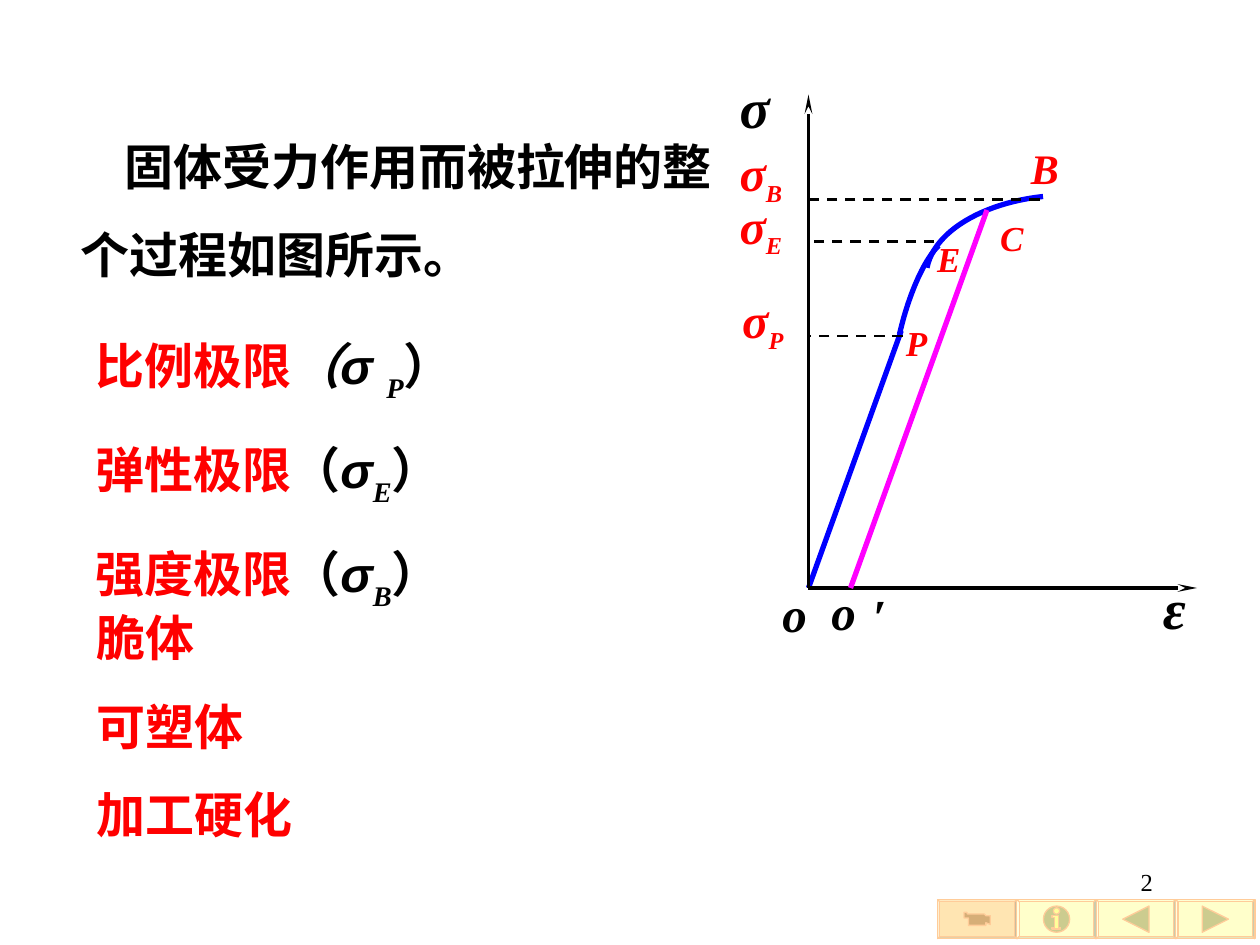
from pptx import Presentation
from pptx.dml.color import RGBColor
from pptx.enum.dml import MSO_LINE
from pptx.enum.shapes import MSO_CONNECTOR, MSO_SHAPE as Shape
from pptx.enum.text import MSO_ANCHOR, MSO_AUTO_SIZE, PP_ALIGN
from pptx.oxml.ns import qn
from pptx.util import Pt
from lxml.etree import SubElement

BLACK = RGBColor(0x00, 0x00, 0x00)
RED = RGBColor(0xFF, 0x00, 0x00)
BLUE = RGBColor(0x00, 0x00, 0xFF)
MAGENTA = RGBColor(0xFF, 0x00, 0xFF)
BUTTON_YELLOW = RGBColor(0xFF, 0xFF, 0x99)
BUTTON_ORANGE = RGBColor(0xFF, 0xCC, 0x66)
BUTTON_EDGE = RGBColor(0xFF, 0xCC, 0x99)
ICON_GREEN = RGBColor(0xCC, 0xCC, 0x8F)
ICON_BROWN = RGBColor(0xD6, 0xAE, 0x77)
SERIF, SANS = "Times New Roman", "Arial"

ORIGIN = (462, 336)
BUTTON_LEFT, BUTTON_TOP = 535.7, 514
BUTTON_WIDTH, BUTTON_HEIGHT = 45.36, 22.5


def add_run(paragraph, text, size=28, color=BLACK, bold=True, italic=False,
            name=SERIF, baseline=0):
    run = paragraph.add_run()
    run.text = text
    font = run.font
    font.size, font.name, font.bold, font.italic = Pt(size), name, bold, italic
    font.color.rgb = color
    if baseline:
        run._r.get_or_add_rPr().set("baseline", str(baseline * 1000))


def place_text(placeholder, left, top, width, height, lines, first_indent=0):
    """Fill a placeholder with unbulleted lines, each a list of (text, format)."""
    placeholder.left, placeholder.top = Pt(left), Pt(top)
    placeholder.width, placeholder.height = Pt(width), Pt(height)
    frame = placeholder.text_frame
    frame.word_wrap = True
    frame.auto_size = MSO_AUTO_SIZE.NONE
    frame.vertical_anchor = MSO_ANCHOR.TOP
    for index, pieces in enumerate(lines):
        paragraph = frame.paragraphs[0] if index == 0 else frame.add_paragraph()
        properties = paragraph._p.get_or_add_pPr()
        properties.set("marL", "0")
        properties.set("indent", str(Pt(0 if index else first_indent)))
        SubElement(properties, qn("a:buNone"))
        paragraph.alignment = PP_ALIGN.LEFT
        paragraph.line_spacing = 1.5
        paragraph.space_before = Pt(0)
        for text, options in pieces:
            add_run(paragraph, text, **options)


def add_label(slide, left, top, width, height, text, subscript="", **options):
    box = slide.shapes.add_textbox(Pt(left), Pt(top), Pt(width), Pt(height))
    box.text_frame.word_wrap = False
    paragraph = box.text_frame.paragraphs[0]
    add_run(paragraph, text, **options)
    if subscript:
        add_run(paragraph, subscript, **{**options, "size": 24, "baseline": -25})
    return paragraph


def add_line(slide, start, end, color, width, dashed=False, arrow=False):
    line = slide.shapes.add_connector(
        MSO_CONNECTOR.STRAIGHT, *(Pt(value) for value in (*start, *end)))
    line.line.color.rgb = color
    line.line.width = Pt(width)
    if dashed:
        line.line.dash_style = MSO_LINE.DASH
    if arrow:
        SubElement(line.line._get_or_add_ln(), qn("a:tailEnd"),
                   type="stealth", w="sm", len="lg")
    SubElement(line._element.spPr, qn("a:effectLst"))


def add_outline(slide, points, closed):
    """Draw a freeform through points, scaled to hundredths of a point."""
    scaled = [(round(x * 100), round(y * 100)) for x, y in points]
    builder = slide.shapes.build_freeform(*scaled[0], scale=Pt(1) / 100)
    builder.add_line_segments(scaled[1:], close=closed)
    shape = builder.convert_to_shape()
    shape.shadow.inherit = False
    return shape


def add_curve(slide, controls, steps=24):
    """Draw a cubic Bezier curve as a fine open polyline."""
    points = []
    for step in range(steps + 1):
        t = step / steps
        weights = ((1 - t) ** 3, 3 * t * (1 - t) ** 2, 3 * t * t * (1 - t), t ** 3)
        points.append([sum(weight * control[axis] for weight, control
                           in zip(weights, controls)) for axis in (0, 1)])
    curve = add_outline(slide, points, closed=False)
    curve.fill.background()
    curve.line.color.rgb = BLUE
    curve.line.width = Pt(3)


def paint(shape, color, alpha=100):
    shape.shadow.inherit = False
    shape.fill.solid()
    shape.fill.fore_color.rgb = color
    if alpha < 100:
        solid = shape._element.spPr.find(qn("a:solidFill"))
        SubElement(solid[0], qn("a:alpha"), val=str(alpha * 1000))
    shape.line.color.rgb = BUTTON_EDGE
    shape.line.width = Pt(0.75)


def add_preset(slide, kind, left, top, width, height):
    return slide.shapes.add_shape(kind, Pt(left), Pt(top), Pt(width), Pt(height))


def add_buttons(slide):
    # Bevelled frames
    centers = []
    for index in range(4):
        left = BUTTON_LEFT + index * BUTTON_WIDTH
        button = add_preset(slide, Shape.BEVEL, left, BUTTON_TOP,
                            BUTTON_WIDTH, BUTTON_HEIGHT)
        button.adjustments[0] = 0.06
        paint(button, BUTTON_YELLOW if index else BUTTON_ORANGE, 50)
        centers.append(left + BUTTON_WIDTH / 2)
    middle = BUTTON_TOP + BUTTON_HEIGHT / 2
    camera, info, back, forward = centers

    # Film camera
    outline = [(-7.5, -4), (-6, -4), (-5.5, -3), (4, -3), (5, -2), (7.5, -2),
               (7.5, 3), (5, 2), (5, 3.5), (-5, 3.5), (-5, -0.7), (-7.5, -0.7)]
    paint(add_outline(slide, [(camera + x, middle + y) for x, y in outline], True),
          ICON_BROWN)

    # Information sign
    paint(add_preset(slide, Shape.OVAL, info - 7.5, middle - 7.5, 15, 15), ICON_GREEN)
    paint(add_preset(slide, Shape.OVAL, info - 1.8, middle - 6.5, 3.6, 3.6),
          BUTTON_YELLOW)
    stem = [(-2.5, -2), (1.2, -2), (1.2, 4.7), (2.5, 4.7), (2.5, 5.7),
            (-2.5, 5.7), (-2.5, 4.7), (-1.2, 4.7), (-1.2, -1), (-2.5, -1)]
    paint(add_outline(slide, [(info + x, middle + y) for x, y in stem], True),
          BUTTON_YELLOW)

    # Back and forward triangles
    for center, side in ((back, -1), (forward, 1)):
        triangle = [(center - side * 7.5, middle - 7.5), (center + side * 7.5, middle),
                    (center - side * 7.5, middle + 7.5)]
        paint(add_outline(slide, triangle, True), ICON_GREEN)


def add_diagram(slide):
    # Elastic part, unloading line and axes
    add_line(slide, (515, 189), ORIGIN, BLUE, 3)
    add_curve(slide, [(596, 112.3), (562, 116), (534, 132), (529.7, 153)])
    add_curve(slide, [(536.4, 140.4), (529, 147.5), (520, 165.5), (514, 191)])
    add_line(slide, ORIGIN, (684, 336), BLACK, 2.25, arrow=True)
    add_line(slide, ORIGIN, (462, 54), BLACK, 2.25, arrow=True)
    add_line(slide, (564, 120), (486, 336), MAGENTA, 3)

    # Dashed levels with their stress labels
    for right, level, left, top, name in ((594, 114, 415.5, 78, "B"),
                                          (534, 138, 415.5, 108, "E"),
                                          (516, 192, 417, 162, "P")):
        add_line(slide, (right, level), (ORIGIN[0], level), BLACK, 1.5, dashed=True)
        add_label(slide, left, top, 46, 44, "σ", name, color=RED, italic=True)

    # Points on the curve
    for text, left, top, width, size in (("B", 582, 78, 30, 24), ("C", 564.5, 120, 27.5, 20),
                                         ("E", 528.5, 132, 27.5, 20),
                                         ("P", 510.5, 180, 26.5, 20)):
        add_label(slide, left, top, width, size * 1.6, text,
                  size=size, color=RED, italic=True)

    # Axis names and origins
    for text, left, top, width, size in (("o", 440, 330, 28, 28), ("o", 468, 329, 28, 28),
                                         ("σ", 415.5, 38, 31.5, 32),
                                         ("ε", 657.5, 324, 27.5, 32)):
        add_label(slide, left, top, width, size * 1.45, text, size=size, italic=True)
    add_label(slide, 492, 331, 22, 41, "′")


def main():
    presentation = Presentation()
    presentation.slide_width, presentation.slide_height = Pt(720), Pt(540)
    slide = presentation.slides.add_slide(presentation.slide_layouts[3])
    title, limits, materials = slide.placeholders

    # Introduction
    place_text(title, 39, 57.5, 385, 108,
               [[("固体受力作用而被拉伸的整", {})], [("个过程如图所示。", {})]],
               first_indent=25)

    # Limits with their symbols
    limit_lines = []
    for name, symbol, subscript, slanted in (("比例极限", "σ ", "P", True),
                                             ("弹性极限", "σ", "E", False),
                                             ("强度极限", "σ", "B", False)):
        limit_lines.append([
            (name, {"color": RED}), ("（", {"italic": slanted}),
            (symbol, {"name": SANS, "italic": True}),
            (subscript, {"italic": True, "baseline": -30}), ("）", {})])
    place_text(limits, 47.5, 168, 369, 186, limit_lines)

    # Material behaviour
    place_text(materials, 48, 327, 369, 158,
               [[(text, {"color": RED})] for text in ("脆体", "可塑体", "加工硬化")])

    add_diagram(slide)
    add_buttons(slide)

    # Page number
    number = add_label(slide, 516, 492, 150, 36, "2", size=14, bold=False)
    number.alignment = PP_ALIGN.RIGHT
    presentation.save("out.pptx")


if __name__ == "__main__":
    main()
